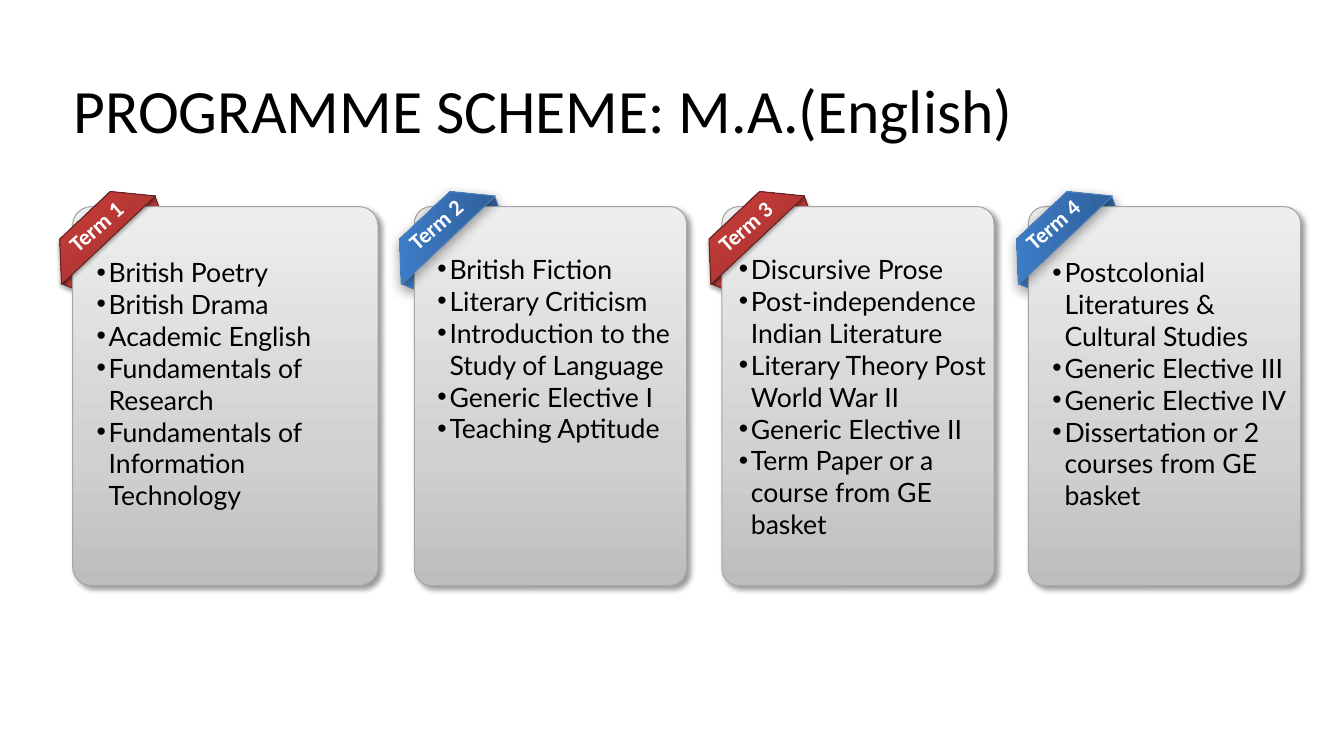
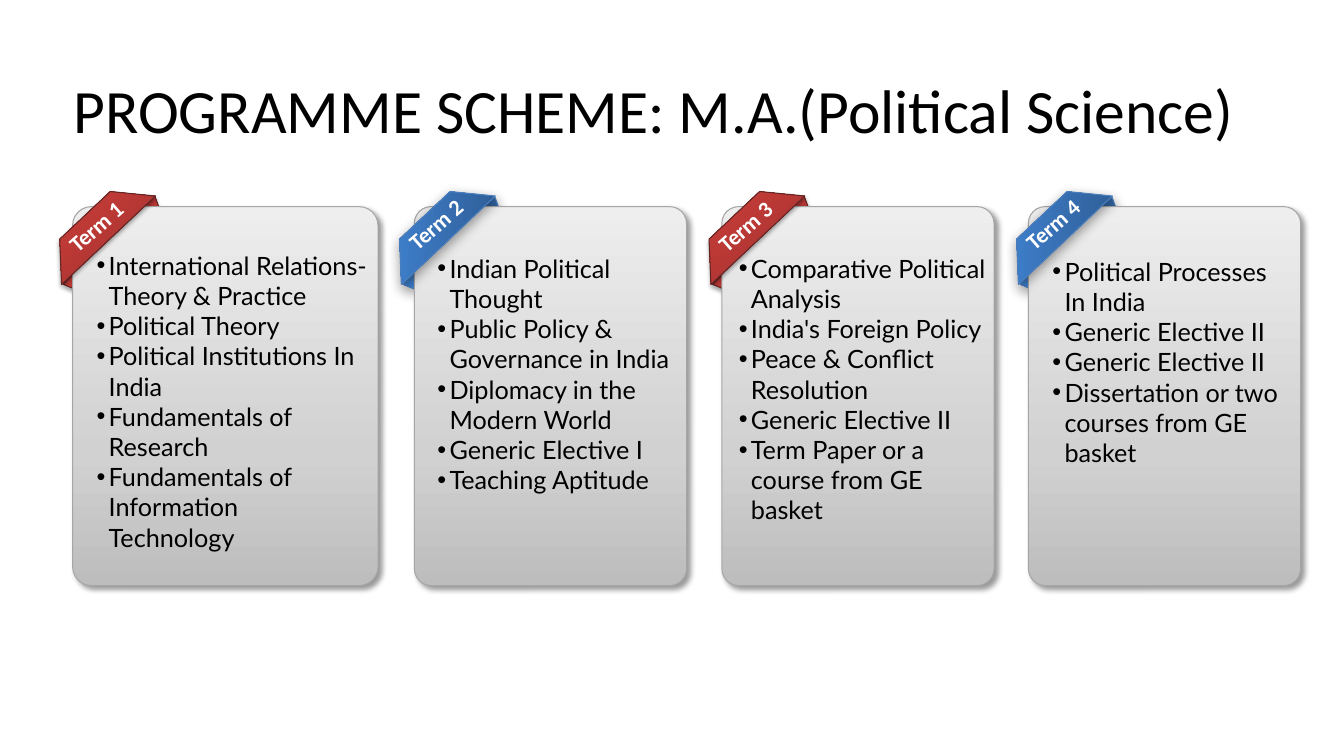
from pptx import Presentation
from pptx.dml.color import RGBColor
from pptx.enum.shapes import MSO_SHAPE
from pptx.enum.text import MSO_ANCHOR, MSO_AUTO_SIZE, PP_ALIGN
from pptx.oxml.ns import qn
from pptx.util import Inches, Pt
from lxml import etree

ROUND_RECT, TRAPEZOID = MSO_SHAPE.ROUNDED_RECTANGLE, MSO_SHAPE.TRAPEZOID
MIDDLE, TOP = MSO_ANCHOR.MIDDLE, MSO_ANCHOR.TOP
FIT_SHAPE, NO_FIT = MSO_AUTO_SIZE.SHAPE_TO_FIT_TEXT, MSO_AUTO_SIZE.NONE
LEFT, CENTER = PP_ALIGN.LEFT, PP_ALIGN.CENTER


class Theme:
    title = dict(name="Calibri", size=44, color="000000")
    label = dict(name="Calibri", size=16, color="FFFFFF", bold=True)
    body = dict(name="Lato", color="000000")
    card = dict(stops=((0, "BDBDBD"), (35, "D1D1D1"), (100, "EEEEEE")), angle=90,
                line="A6A6A6", shadow=(40, 4, 3, 45))
    red = dict(stops=((0, "9C2F2D"), (80, "CB3E3A"), (100, "CE3B37")), angle=90,
               line="632523", shadow=(35, 3.1, 1.8, 90))
    blue = dict(stops=((0, "2F5F99"), (80, "3D7CC7"), (100, "3A7CCB")), angle=135,
                line="4B7EBC", shadow=(40, 9, 3, 90))


def add_xml(parent, tag, **attrs):
    return etree.SubElement(parent, qn(tag), {k: str(v) for k, v in attrs.items()})


def add_color(parent, color, alpha=None):
    clr = add_xml(parent, "a:srgbClr", val=color)
    if alpha is not None:
        add_xml(clr, "a:alpha", val=alpha * 1000)


class Deck:
    def __init__(self, theme):
        self.theme = theme
        self.prs = Presentation()
        self.prs.slide_width, self.prs.slide_height = Inches(13.33), Inches(7.5)

    def slide(self, title):
        self.s = self.prs.slides.add_slide(self.prs.slide_layouts[6])
        self.shapes = self.s.shapes
        self.text((0.63, 0.4, 11.79, 1.45), [title], self.theme.title,
                  anchor=MIDDLE, fit=NO_FIT, spacing=0.9)

    def group(self):
        self.shapes = self.s.shapes.add_group_shape().shapes

    def shape(self, kind, box, adj, look, rotation=0, flip=False):
        sp = self.shapes.add_shape(kind, *map(Inches, box))
        sp.adjustments[0] = adj
        sp.rotation = rotation
        spPr = sp._element.spPr
        if flip:
            spPr.find(qn("a:xfrm")).set("flipV", "1")
        sp.fill.gradient()
        sp.fill.gradient_angle = look["angle"]
        stops = spPr.find(qn("a:gradFill")).find(qn("a:gsLst"))
        stops.clear()
        for pos, color in look["stops"]:
            add_color(add_xml(stops, "a:gs", pos=pos * 1000), color)
        sp.line.color.rgb = RGBColor.from_string(look["line"])
        sp.line.width = Pt(0.75)
        sp.shadow.inherit = False
        alpha, blur, dist, angle = look["shadow"]
        shadow = add_xml(spPr.find(qn("a:effectLst")), "a:outerShdw", blurRad=Pt(blur),
                         dist=Pt(dist), dir=angle * 60000, rotWithShape=0)
        add_color(shadow, "000000", alpha)

    def text(self, box, lines, font, anchor=TOP, fit=FIT_SHAPE, align=LEFT,
             spacing=None, rotation=0, wrap=True, bullet=False):
        sp = self.shapes.add_textbox(*map(Inches, box))
        sp.rotation = rotation
        tf = sp.text_frame
        tf.word_wrap, tf.auto_size, tf.vertical_anchor = wrap, fit, anchor
        for i, line in enumerate(lines):
            p = tf.paragraphs[0] if i == 0 else tf.add_paragraph()
            p.alignment, p.line_spacing = align, spacing
            if bullet:
                pPr = p._p.get_or_add_pPr()
                pPr.set("marL", str(Inches(0.12)))
                pPr.set("indent", str(-Inches(0.12)))
                add_xml(pPr, "a:buFont", typeface="Arial")
                add_xml(pPr, "a:buChar", char="•")
            r = p.add_run()
            r.text = line
            for key, value in font.items():
                if key == "color":
                    r.font.color.rgb = RGBColor.from_string(value)
                else:
                    setattr(r.font, key, Pt(value) if key == "size" else value)

    def term(self, number, column, courses, size):
        ribbon_x, card_x, card_w, text_x, text_w = column
        top, height, lines = courses
        look, label_y = ((self.theme.red, 2.06) if number % 2
                         else (self.theme.blue, 2.04))
        self.group()
        self.shape(TRAPEZOID, (ribbon_x + 0.17, 2.37, 1.26, 0.11), 0.439, look,
                   rotation=316.2, flip=True)
        self.shape(ROUND_RECT, (card_x, 2.05, card_w, 3.76), 0.062, self.theme.card)
        self.shape(TRAPEZOID, (ribbon_x, 2.09, 1.28, 0.34), 0.869, look, rotation=316.7)
        self.text((ribbon_x + 0.18, label_y, 0.92, 0.4), [f"Term {number}"],
                  self.theme.label, align=CENTER, rotation=318.8, wrap=False)
        self.text((text_x, top, text_w, height), lines,
                  dict(self.theme.body, size=size), bullet=True)


COLUMNS = [
    (0.32, 0.72, 3.03, 0.86, 2.9),
    (3.69, 4.11, 2.7, 4.24, 2.58),
    (6.76, 7.16, 2.7, 7.23, 2.7),
    (9.81, 10.2, 2.7, 10.34, 2.58),
]

PROGRAMMES = [
    ("English", 19, [
        (2.49, 2.66, ["British Poetry", "British Drama", "Academic English",
                      "Fundamentals of Research",
                      "Fundamentals of Information Technology"]),
        (2.46, 2.34, ["British Fiction", "Literary Criticism",
                      "Introduction to the Study of Language",
                      "Generic Elective I", "Teaching Aptitude"]),
        (2.46, 2.98, ["Discursive Prose", "Post-independence Indian Literature",
                      "Literary Theory Post World War II", "Generic Elective II",
                      "Term Paper or a course from GE basket"]),
        (2.49, 3.3, ["Postcolonial Literatures & Cultural Studies",
                     "Generic Elective III", "Generic Elective IV",
                     "Dissertation or 2 courses from GE basket"]),
    ]),
    ("Political Science", 18, [
        (2.43, 3.43, ["International Relations-Theory & Practice",
                      "Political Theory", "Political Institutions In India",
                      "Fundamentals of Research",
                      "Fundamentals of Information Technology"]),
        (2.46, 2.83, ["Indian Political Thought",
                      "Public Policy & Governance in India",
                      "Diplomacy in the Modern World",
                      "Generic Elective I", "Teaching Aptitude"]),
        (2.46, 3.13, ["Comparative Political Analysis", "India's Foreign Policy",
                      "Peace & Conflict Resolution", "Generic Elective II",
                      "Term Paper or a course from GE basket"]),
        (2.49, 2.83, ["Political Processes In India", "Generic Elective II",
                      "Generic Elective II",
                      "Dissertation or two courses from GE basket"]),
    ]),
]


def main():
    deck = Deck(Theme)
    for subject, size, terms in PROGRAMMES:
        deck.slide(f"PROGRAMME SCHEME: M.A.({subject})")
        for number, (column, courses) in enumerate(zip(COLUMNS, terms), 1):
            deck.term(number, column, courses, size)
    deck.prs.save("out.pptx")


if __name__ == "__main__":
    main()
